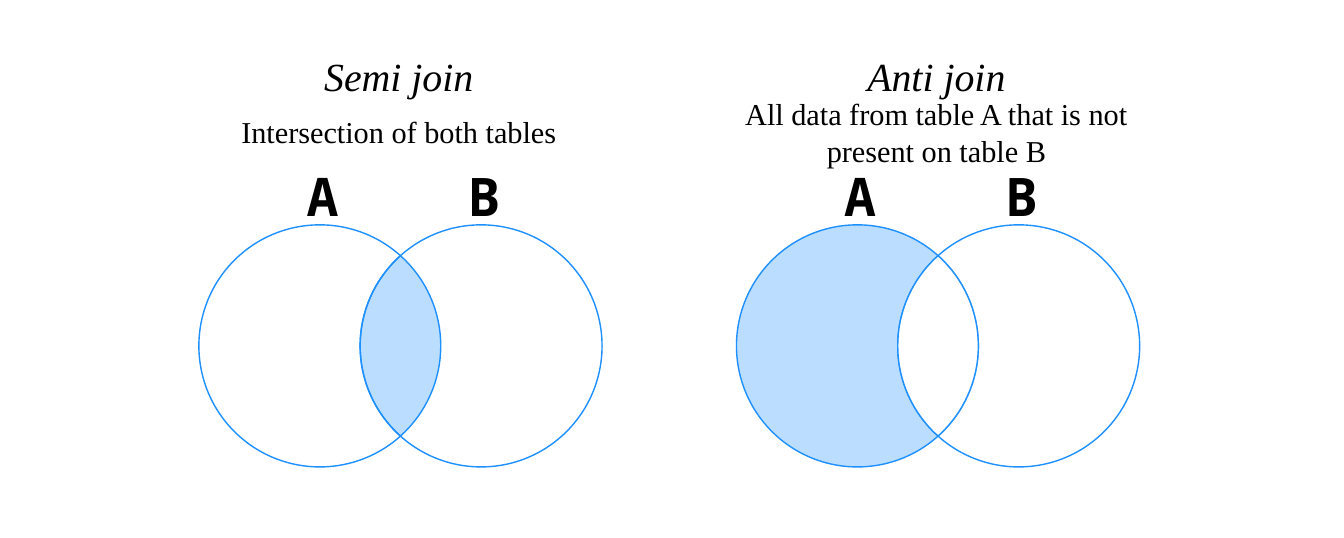
import math
from pptx import Presentation, util as u
from pptx.dml.color import RGBColor
from pptx.enum import shapes, text
from pptx.oxml import ns
from lxml import etree

COLS, ROWS = 25, 10
SIZE, STEP, PITCH = 4.5, 3, 10
LEFT, TOP = 3.7, 4.18
TINT = 30


class Board:
    hues = {"blue": "1E90FF", "white": "FFFFFF", "ink": "000000"}
    serif, mono = "Times New Roman", "Noto Sans Mono"

    def __init__(self, deck):
        self.slide = deck.slides.add_slide(deck.slide_layouts[6])
        self.col = deck.slide_width / COLS
        self.row = deck.slide_height / ROWS

    def spot(self, col, row):
        return round(col * self.col), round(row * self.row)

    def hue(self, name):
        return RGBColor.from_string(self.hues[name])

    def paint(self, shape, fill, alpha):
        shape.shadow.inherit = False
        shape.fill.solid()
        shape.fill.fore_color.rgb = self.hue(fill)
        shape.line.color.rgb = self.hue("blue")
        shape.line.width = u.Pt(0)
        if alpha < 100:
            tone = shape.fill._xPr.find(".//" + ns.qn("a:srgbClr"))
            etree.SubElement(tone, ns.qn("a:alpha"), val=str(alpha * 1000))

    def disc(self, col, row, fill, alpha=100):
        shape = self.slide.shapes.add_shape(
            shapes.MSO_SHAPE.OVAL, *self.spot(col, row), *self.spot(SIZE, SIZE))
        self.paint(shape, fill, alpha)

    def lens(self, col, row, fill, alpha=100, steps=32):
        rad = SIZE / 2
        half = math.acos(STEP / SIZE)
        points = []
        for shift, turn in ((0, 0), (STEP, math.pi)):
            for i in range(steps):
                angle = turn - half + 2 * half * i / steps
                points.append(self.spot(col + shift + rad + rad * math.cos(angle),
                                        row + rad + rad * math.sin(angle)))
        path = self.slide.shapes.build_freeform(*points[0])
        path.add_line_segments(points[1:], close=True)
        self.paint(path.convert_to_shape(), fill, alpha)

    def words(self, value, box, size, face, bold=False, slant=False):
        col, row, wide, high = box
        shape = self.slide.shapes.add_textbox(
            *self.spot(col, row), *self.spot(wide, high))
        frame = shape.text_frame
        frame.word_wrap = True
        frame.vertical_anchor = text.MSO_ANCHOR.MIDDLE
        frame.text = value
        line = frame.paragraphs[0]
        line.alignment = text.PP_ALIGN.CENTER
        font = line.runs[0].font
        font.name, font.size = face, u.Pt(size)
        font.bold, font.italic = bold, slant
        font.color.rgb = self.hue("ink")

    def join(self, title, note, left, discs, lens):
        for i, (fill, alpha) in enumerate(discs):
            self.disc(left + i * STEP, TOP, fill, alpha)
        self.lens(left, TOP, *lens)
        start = left - 0.28
        self.words(title, (start, 0.87, 8, 1.07), 21, self.serif, slant=True)
        self.words(note, (start, 1.7, 8, 1.5), 16, self.serif)
        for i, name in enumerate("AB"):
            self.words(name, (left + 1.3 + i * STEP, 2.98, 2, 1.3), 28,
                       self.mono, bold=True)


deck = Presentation()
deck.slide_width, deck.slide_height = u.Cm(COLS), u.Cm(ROWS)
board = Board(deck)
joins = [
    ("Semi join", "Intersection of both tables",
     [("white", 100), ("white", 100)], ("blue", TINT)),
    ("Anti join", "All data from table A that is not present on table B",
     [("blue", TINT), ("white", TINT)], ("white", 100)),
]
for i, (title, note, discs, lens) in enumerate(joins):
    board.join(title, note, LEFT + i * PITCH, discs, lens)
deck.save("out.pptx")
